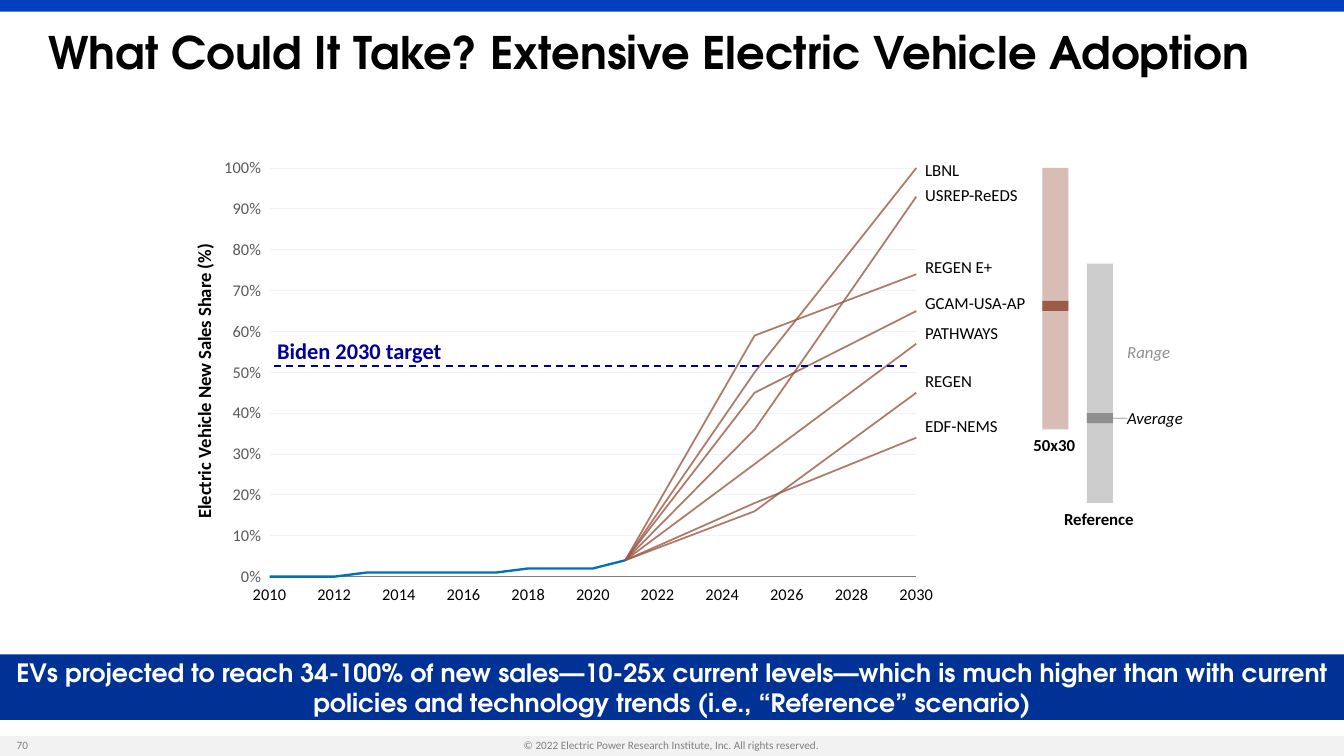
from lxml import etree
from pptx import Presentation
from pptx.chart.data import XyChartData
from pptx.dml.color import RGBColor
from pptx.enum.chart import XL_CHART_TYPE, XL_TICK_LABEL_POSITION, XL_TICK_MARK
from pptx.enum.dml import MSO_LINE
from pptx.enum.shapes import MSO_CONNECTOR, MSO_SHAPE
from pptx.enum.text import MSO_ANCHOR, PP_ALIGN
from pptx.oxml import parse_xml
from pptx.oxml.ns import nsdecls, qn
from pptx.util import Pt

RECT, STRAIGHT = MSO_SHAPE.RECTANGLE, MSO_CONNECTOR.STRAIGHT
SCATTER = XL_CHART_TYPE.XY_SCATTER_LINES_NO_MARKERS
LOW, NO_TICK, DASH = XL_TICK_LABEL_POSITION.LOW, XL_TICK_MARK.NONE, MSO_LINE.DASH
LEFT, CENTER = PP_ALIGN.LEFT, PP_ALIGN.CENTER
TOP, MIDDLE = MSO_ANCHOR.TOP, MSO_ANCHOR.MIDDLE
BODY, HEADING = "Calibri", "TeX Gyre Adventor"
BLACK, GRAY, NAVY, BROWN = "000000", "808080", "000099", "9B5B46"
LABEL_SIZE, LABEL_HEIGHT = 14.4, 17.3

HISTORY = [0, 0, 0, 0.01, 0.01, 0.01, 0.01, 0.01, 0.02, 0.02, 0.02, 0.04]
PROJECTIONS = [
    ("LBNL", 0.5, 1),
    ("GCAM-USA-AP", 0.45, 0.65),
    ("EDF-NEMS", 0.18, 0.34),
    ("PATHWAYS", None, 0.57),
    ("REGEN", 0.16, 0.45),
    ("REGEN E+", 0.59, 0.74),
    ("USREP-ReEDS", 0.36, 0.93),
]
MODEL_LABEL_TOPS = {
    "LBNL": 9.3, "USREP-ReEDS": 30.9, "REGEN E+": 92.8, "GCAM-USA-AP": 123,
    "PATHWAYS": 149, "REGEN": 190, "EDF-NEMS": 229,
}


def color(value):
    return RGBColor.from_string(value)


def set_alpha(fill_parent, percent):
    rgb = next(fill_parent.iter(qn("a:srgbClr")))
    etree.SubElement(rgb, qn("a:alpha")).set("val", str(percent * 1000))


def style(font, size, hue, bold=False, italic=False, face=BODY):
    font.name, font.size, font.bold, font.italic = face, Pt(size), bold, italic
    font.color.rgb = color(hue)


def write(holder, text, size, hue, align=LEFT, anchor=TOP, inset=(0, 0), wrap=True, **look):
    frame = holder.text_frame
    frame.text = text
    frame.word_wrap = wrap
    frame.vertical_anchor = anchor
    frame.margin_left = frame.margin_right = Pt(inset[0])
    frame.margin_top = frame.margin_bottom = Pt(inset[1])
    paragraph = frame.paragraphs[0]
    paragraph.alignment = align
    style(paragraph.runs[0].font, size, hue, **look)


def add_text(slide, box, text, size, hue, **options):
    holder = slide.shapes.add_textbox(*map(Pt, box))
    write(holder, text, size, hue, **options)
    return holder


def add_band(slide, box, hue, alpha=100):
    band = slide.shapes.add_shape(RECT, *map(Pt, box))
    band.shadow.inherit = False
    band.fill.solid()
    band.fill.fore_color.rgb = color(hue)
    band.line.fill.background()
    if alpha < 100:
        set_alpha(band.fill._xPr, alpha)
    return band


def add_line(slide, start, end, hue, width):
    line = slide.shapes.add_connector(STRAIGHT, *map(Pt, start + end))
    line.line.color.rgb = color(hue)
    line.line.width = Pt(width)
    etree.SubElement(line._element.spPr, qn("a:effectLst"))
    return line


def add_header(slide, box):
    left, top, width, height = box
    add_band(slide, (left, top, width, 10), "0040C0")
    add_text(slide, (left + 34.6, top + 17.3, 1080, height - 17.3),
             "What Could It Take? Extensive Electric Vehicle Adoption",
             38.4, BLACK, inset=(7.2, 3.6), bold=True, face=HEADING)


def add_footer(slide, box):
    left, top, width, height = box
    add_band(slide, box, "F2F2F2")
    add_text(slide, (left + 441.4, top - 1.4, 267.8, 18.7),
             "© 2022 Electric Power Research Institute, Inc. All rights reserved.",
             9.6, GRAY, align=CENTER, inset=(7.2, 3.6), wrap=False)
    add_text(slide, (left + 7.2, top - 1.4, 76, 18.7), "70", 9.6, GRAY, inset=(7.2, 3.6))


def add_takeaway(slide, box):
    takeaway = add_band(slide, box, "003296")
    write(takeaway,
          "EVs projected to reach 34-100% of new sales—10-25x current levels—which is much "
          "higher than with current policies and technology trends (i.e., “Reference” scenario)",
          21.6, "FFFFFF", align=CENTER, anchor=MIDDLE, inset=(8.6, 4.3), bold=True, face=HEADING)


def manual_layout(**settings):
    items = "".join(f'<c:{key} val="{value}"/>' for key, value in settings.items())
    return parse_xml(f'<c:layout {nsdecls("c")}><c:manualLayout>{items}</c:manualLayout></c:layout>')


def put_layout(parent, layout, before):
    for old in parent.findall(qn("c:layout")):
        parent.remove(old)
    parent.find(qn(before)).addprevious(layout)


def add_sales_chart(slide, box):
    data = XyChartData(number_format="0%")
    history = data.add_series("Historical")
    for year, share in enumerate(HISTORY, 2010):
        history.add_data_point(year, share)
    for model, share_2025, share_2030 in PROJECTIONS:
        projection = data.add_series(model)
        for year, share in ((2021, HISTORY[-1]), (2025, share_2025), (2030, share_2030)):
            if share is not None:
                projection.add_data_point(year, share)

    chart = slide.shapes.add_chart(SCATTER, *map(Pt, box), data).chart
    chart.has_legend = chart.has_title = False
    style(chart.font, 10, BLACK)
    chart.plots[0].vary_by_categories = False
    for index, series in enumerate(chart.plots[0].series):
        series.smooth = False
        line = series.format.line
        line.color.rgb = color("9A5A45" if index else "0070C0")
        line.width = Pt(1.5 if index else 2)
        if index:
            set_alpha(series._element.spPr, 80)

    years, shares = chart.category_axis, chart.value_axis
    for axis, low, high, step, hue, pattern in (
            (years, 2010, 2030, 2, BLACK, "0"), (shares, 0, 1, 0.1, "595959", "0%")):
        axis.minimum_scale, axis.maximum_scale, axis.major_unit = low, high, step
        axis.major_tick_mark = axis.minor_tick_mark = NO_TICK
        axis.tick_label_position = LOW
        axis.tick_labels.number_format = pattern
        axis.tick_labels.number_format_is_linked = False
        style(axis.tick_labels.font, 14, hue)
    years.has_major_gridlines = False
    years.format.line.color.rgb = color(GRAY)
    years.format.line.width = Pt(0.75)
    shares.format.line.fill.background()
    shares.has_major_gridlines = True
    shares.major_gridlines.format.line.color.rgb = color("F2F2F2")
    shares.major_gridlines.format.line.width = Pt(0.75)
    caption = shares.axis_title
    caption.text_frame.text = "Electric Vehicle New Sales Share (%)"
    style(caption.text_frame.paragraphs[0].runs[0].font, 16, BLACK, bold=True)

    put_layout(caption._element, manual_layout(xMode="edge", yMode="edge", x=0.03, y=0.2),
               "c:overlay")
    put_layout(chart._chartSpace.chart.plotArea,
               manual_layout(layoutTarget="inner", xMode="edge", yMode="edge",
                             x=0.134, y=0.042, w=0.825, h=0.888), "c:scatterChart")

    left, top, width, height = box
    for model, offset in MODEL_LABEL_TOPS.items():
        add_text(slide, (left + 652, top + offset, 109, LABEL_HEIGHT), model, LABEL_SIZE, BLACK)
    target = add_line(slide, (left + 93.7, top + 186.5), (left + 639.5, top + 186.5), NAVY, 1.5)
    target.line.dash_style = DASH
    add_text(slide, (left + 89.4, top + 157.6, 157, 30.2), "Biden 2030 target",
             19.2, NAVY, inset=(7.2, 3.6), wrap=False, bold=True)


def add_range_bar(slide, box, scenario, average_top, hue, average_alpha):
    left, top, width, height = box
    add_band(slide, box, hue, 40)
    average = add_band(slide, (left, average_top, width, 8.6), hue, average_alpha)
    add_text(slide, (left + width / 2 - 33.7, top + height + 5, 65.5, LABEL_HEIGHT),
             scenario, LABEL_SIZE, BLACK, align=CENTER, bold=True)
    return average


def add_ranges(slide, box):
    left, top, width, height = box
    average = add_range_bar(slide, (left + 38.2, top + 82, 22.3, 205), "Reference",
                            top + 210.2, GRAY, 80)
    add_range_bar(slide, (left, top, 22.3, 224), "50x30", top + 113.8, BROWN, 100)
    average_label = add_text(slide, (left + 72.7, top + 205.9, 65.5, LABEL_HEIGHT),
                             "Average", LABEL_SIZE, BLACK, italic=True)
    add_text(slide, (left + 72.7, top + 149, 65.5, LABEL_HEIGHT),
             "Range", LABEL_SIZE, "8F8F8F", italic=True)
    leader = add_line(slide, (left + 72.7, top + 214.5), (left + 60.5, top + 214.5), "8F8F8F", 0.75)
    leader.begin_connect(average_label, 1)
    leader.end_connect(average, 3)


def main():
    deck = Presentation()
    deck.slide_width, deck.slide_height = Pt(1152), Pt(648)
    slide = deck.slides.add_slide(deck.slide_layouts[6])
    add_footer(slide, (0, 630.7, 1152, 17.3))
    add_header(slide, (0, 0, 1152, 86.4))
    add_sales_chart(slide, (141, 127.5, 672, 394.5))
    add_ranges(slide, (893.5, 144, 138, 304))
    add_takeaway(slide, (0, 561, 1152, 56))
    deck.save("out.pptx")


if __name__ == "__main__":
    main()
